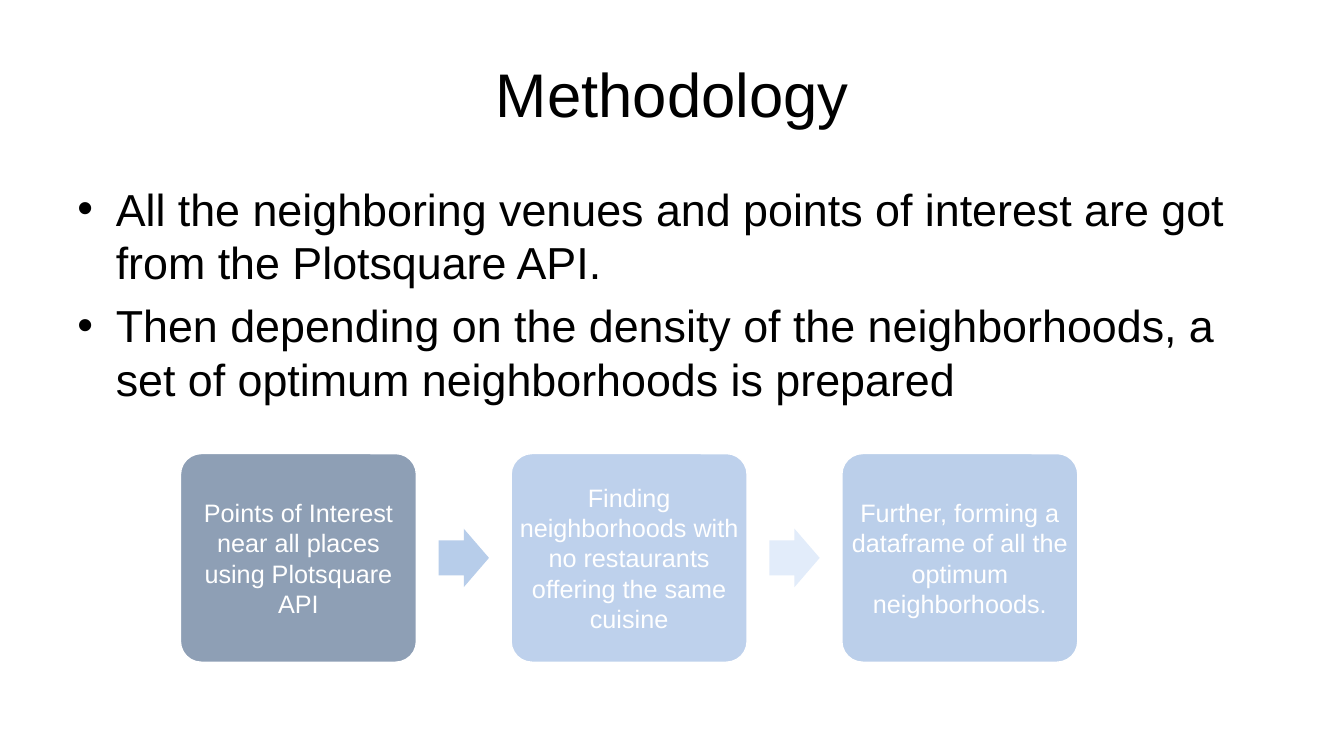
"""Build the Methodology slide: title, two bullets and a three-step flow."""
import pptx
import pptx.dml.color
import pptx.enum.shapes
import pptx.enum.text
import pptx.oxml
import pptx.oxml.ns
import pptx.util

Inches, Pt = pptx.util.Inches, pptx.util.Pt
SHAPE = pptx.enum.shapes.MSO_SHAPE
ALIGN = pptx.enum.text.PP_ALIGN
ANCHOR = pptx.enum.text.MSO_ANCHOR

TITLE = "Methodology"
BULLETS = [
    "All the neighboring venues and points of interest are got from the Plotsquare API.",
    "Then depending on the density of the neighborhoods, a set of optimum neighborhoods is prepared",
]
STEPS = [
    ("Points of Interest near all places using Plotsquare API", "8E9FB5"),
    ("Finding neighborhoods with no restaurants offering the same cuisine", "BED1EC"),
    ("Further, forming a dataframe of all the optimum neighborhoods.", "BBCFEA"),
]
ARROW_FILLS = ["B7CDEA", "E2ECFA"]
THEME = {"font": "Arial", "dark": "000000", "light": "FFFFFF",
         "title": 44, "body": 32, "step": 18}

LEFT, WIDTH = 0.67, 12
STEP_LEFT, STEP_TOP, STEP_W, STEP_H, STEP_PITCH = 1.79, 4.5, 2.34, 2.07, 3.28
ARROW_W, ARROW_H, ARROW_GAP = 0.5, 0.58, 0.22
INDENT = 0.38


def rgb(value):
    return pptx.dml.color.RGBColor.from_string(value)


def place(s, left, top, width, height):
    box = {"left": left, "top": top, "width": width, "height": height}
    for name, value in box.items():
        setattr(s, name, Inches(value))


def frame(tf, **formats):
    for name, value in {"word_wrap": True, **formats}.items():
        setattr(tf, name, value)


def write(p, text, size, color, **formats):
    for name, value in formats.items():
        setattr(p, name, value)
    r = p.add_run()
    r.text = text
    for name, value in {"name": THEME["font"], "size": Pt(size)}.items():
        setattr(r.font, name, value)
    r.font.color.rgb = rgb(color)


def add_bullet(p):
    pPr = p._p.get_or_add_pPr()
    pPr.set("marL", str(Inches(INDENT)))
    pPr.set("indent", str(-Inches(INDENT)))
    ns = pptx.oxml.ns.nsdecls("a")
    for xml in (f'<a:buFont {ns} typeface="{THEME["font"]}"/>', f'<a:buChar {ns} char="•"/>'):
        pPr.append(pptx.oxml.parse_xml(xml))


def add_filled(slide, kind, box, fill, adjustments):
    s = slide.shapes.add_shape(kind, *map(Inches, box))
    for i, value in enumerate(adjustments):
        s.adjustments[i] = value
    s.shadow.inherit = False
    s.fill.solid()
    s.fill.fore_color.rgb = rgb(fill)
    s.line.fill.background()
    return s


def add_flow(slide):
    for i, (text, fill) in enumerate(STEPS):
        left = STEP_LEFT + i * STEP_PITCH
        s = add_filled(slide, SHAPE.ROUNDED_RECTANGLE,
                       (left, STEP_TOP, STEP_W, STEP_H), fill, [0.1])
        s.line.color.rgb = rgb(THEME["light"])
        s.line.width = Pt(1)
        margins = dict.fromkeys(
            ("margin_left", "margin_right", "margin_top", "margin_bottom"), Inches(0.01))
        frame(s.text_frame, vertical_anchor=ANCHOR.MIDDLE, **margins)
        write(s.text_frame.paragraphs[0], text, THEME["step"], THEME["light"],
              alignment=ALIGN.CENTER)
    for i, fill in enumerate(ARROW_FILLS):
        left = STEP_LEFT + i * STEP_PITCH + STEP_W + ARROW_GAP
        top = STEP_TOP + (STEP_H - ARROW_H) / 2
        add_filled(slide, SHAPE.RIGHT_ARROW, (left, top, ARROW_W, ARROW_H), fill, [0.6, 0.5])


def main():
    prs = pptx.Presentation()
    prs.slide_width, prs.slide_height = Inches(13.33), Inches(7.5)
    slide = prs.slides.add_slide(prs.slide_layouts[5])

    title = slide.shapes.title
    place(title, LEFT, 0.3, WIDTH, 1.25)
    frame(title.text_frame, vertical_anchor=ANCHOR.MIDDLE)
    write(title.text_frame.paragraphs[0], TITLE, THEME["title"], THEME["dark"],
          alignment=ALIGN.CENTER)

    body = slide.shapes.add_textbox(*map(Inches, (LEFT, 1.75, WIDTH, 4.95)))
    tf = body.text_frame
    frame(tf, vertical_anchor=ANCHOR.TOP)
    for i, text in enumerate(BULLETS):
        p = tf.add_paragraph() if i else tf.paragraphs[0]
        write(p, text, THEME["body"], THEME["dark"],
              alignment=ALIGN.LEFT, space_before=Pt(THEME["body"] * 0.2))
        add_bullet(p)

    add_flow(slide)
    prs.save("out.pptx")


if __name__ == "__main__":
    main()
